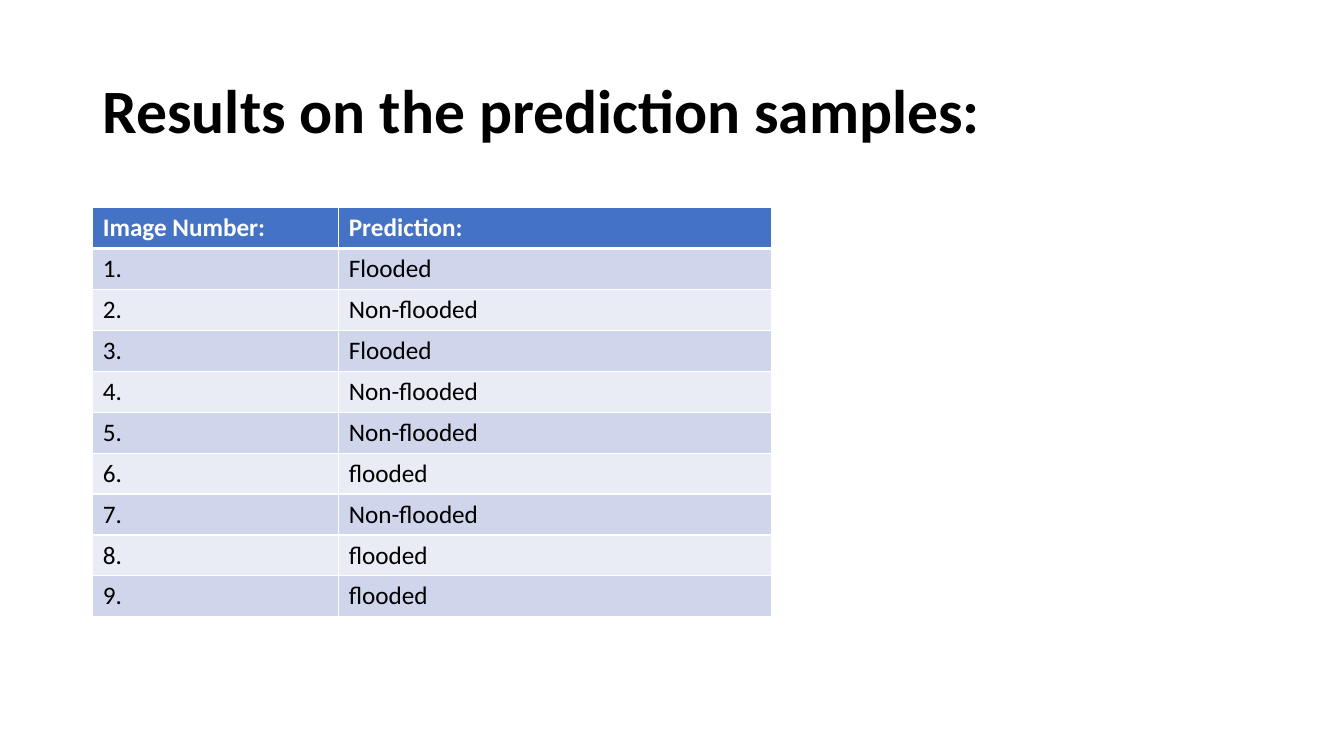
import pptx
import pptx.dml.color
import pptx.enum.text
import pptx.oxml.ns
import pptx.util
from lxml import etree

FONT = "Calibri"
LEFT = 0.92
COLUMN_WIDTHS = (2.44, 4.29)
ROW_HEIGHT = 0.406
HEADER_FILL = "4472C4"
BAND_FILLS = ("CFD5EA", "E9EBF5")
HEADINGS = ("Image Number:", "Prediction:")
PREDICTIONS = (
    "Flooded", "Non-flooded", "Flooded", "Non-flooded", "Non-flooded",
    "flooded", "Non-flooded", "flooded", "flooded",
)


def inches(value):
    return pptx.util.Inches(value)


def color(value):
    return pptx.dml.color.RGBColor.from_string(value)


def style_paragraph(paragraph, size, font_color, bold):
    font = paragraph.font
    font.name = FONT
    font.size = pptx.util.Pt(size)
    font.bold = bold
    font.color.rgb = color(font_color)


def add_title(slide, text):
    shape = slide.shapes.add_textbox(inches(LEFT), inches(0.4), inches(11.5), inches(1.45))
    frame = shape.text_frame
    frame.word_wrap = True
    frame.vertical_anchor = pptx.enum.text.MSO_ANCHOR.MIDDLE
    paragraph = frame.paragraphs[0]
    paragraph.text = text
    paragraph.line_spacing = 0.9
    style_paragraph(paragraph, 44, "000000", True)


def set_borders(cell, widths):
    """Draw white borders, with widths in points by side."""
    qualify = pptx.oxml.ns.qn
    properties = cell._tc.get_or_add_tcPr()
    for side, width in widths.items():
        line = etree.SubElement(properties, qualify(f"a:ln{side}"), w=str(pptx.util.Pt(width)))
        fill = etree.SubElement(line, qualify("a:solidFill"))
        etree.SubElement(fill, qualify("a:srgbClr"), val="FFFFFF")


def fill_cell(cell, text, row):
    is_header = row == 0
    # Borders come before the fill in the cell's properties
    set_borders(cell, {"L": 1, "R": 1, "T": 3 if row == 1 else 1, "B": 3 if is_header else 1})
    cell.fill.solid()
    cell.fill.fore_color.rgb = color(HEADER_FILL if is_header else BAND_FILLS[(row - 1) % 2])
    cell.text = text
    style_paragraph(cell.text_frame.paragraphs[0], 18, "FFFFFF" if is_header else "000000", is_header)


def add_prediction_table(slide):
    rows = [HEADINGS] + [(f"{number}.", label) for number, label in enumerate(PREDICTIONS, 1)]
    table = slide.shapes.add_table(
        len(rows), len(HEADINGS), inches(LEFT), inches(2.06),
        inches(sum(COLUMN_WIDTHS)), inches(ROW_HEIGHT * len(rows)),
    ).table
    for column, width in zip(table.columns, COLUMN_WIDTHS):
        column.width = inches(width)
    for row, texts in enumerate(rows):
        table.rows[row].height = inches(ROW_HEIGHT)
        for column, text in enumerate(texts):
            fill_cell(table.cell(row, column), text, row)


def main():
    presentation = pptx.Presentation()
    presentation.slide_width = inches(13.33)
    presentation.slide_height = inches(7.5)
    slide = presentation.slides.add_slide(presentation.slide_layouts[6])

    # Title
    add_title(slide, "Results on the prediction samples:")

    # Prediction for each image
    add_prediction_table(slide)

    presentation.save("out.pptx")


if __name__ == "__main__":
    main()
